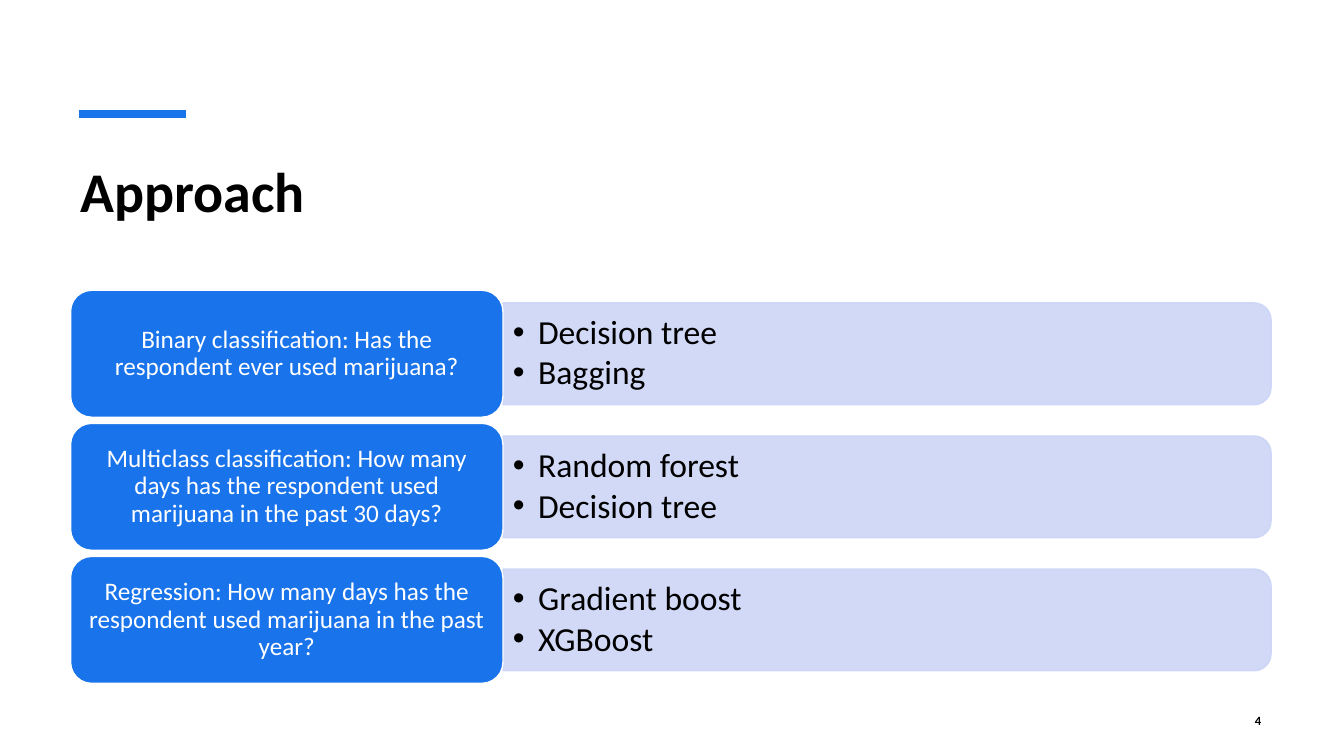
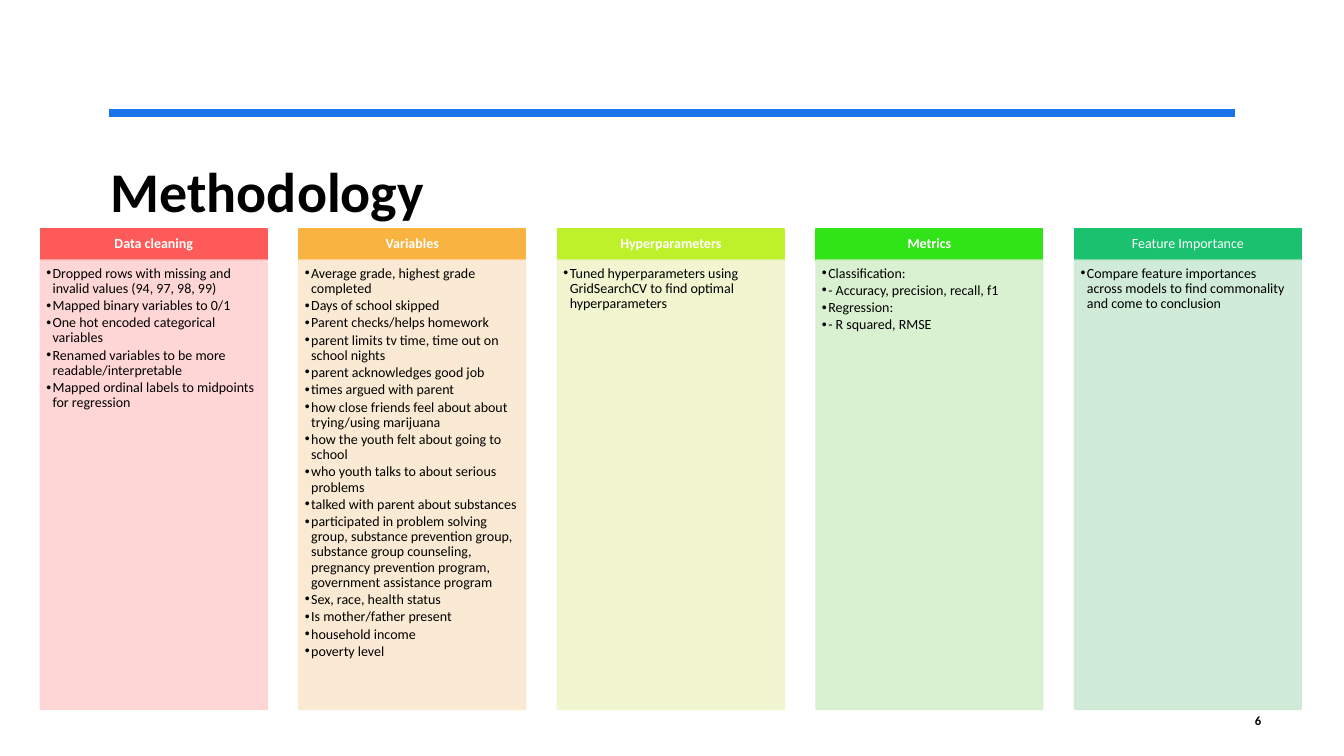
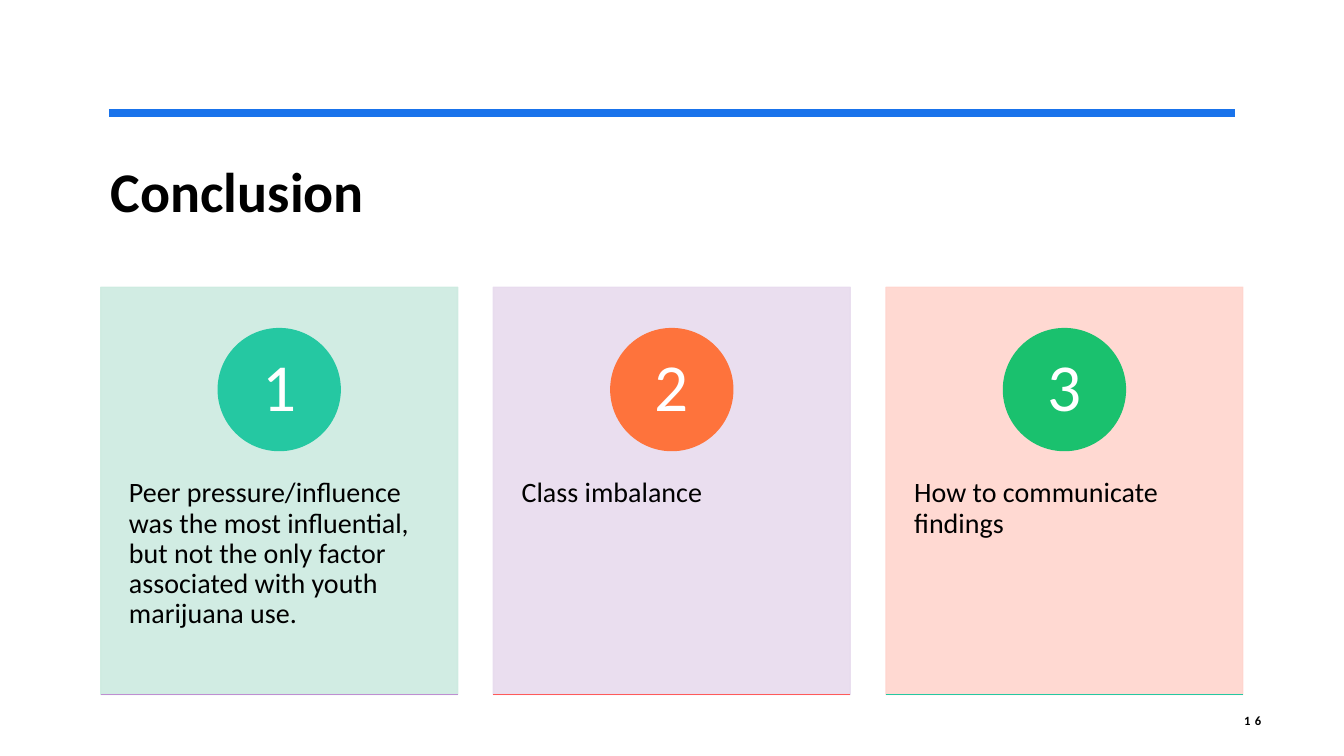
from dataclasses import dataclass

from lxml.etree import SubElement
from pptx import Presentation
from pptx.dml.color import RGBColor
from pptx.enum.shapes import MSO_CONNECTOR, MSO_SHAPE
from pptx.enum.text import MSO_ANCHOR as Anchor, MSO_AUTO_SIZE, PP_ALIGN as Align
from pptx.oxml.ns import qn
from pptx.util import Inches, Pt

FONT = "Calibri"
COLORS = {
    "black": "000000", "white": "FFFFFF",
    "blue": "1973EB", "pale blue": "CCD5F7",
    "red": "FE5A5A", "pale red": "FFD2D2",
    "amber": "F8B340", "pale amber": "FBE8CF",
    "lime": "BEF129", "pale lime": "F0F6CD",
    "green": "30E417", "pale green": "D6F0CC",
    "emerald": "1AC16E", "pale emerald": "CCE9D5",
    "teal": "25C8A2", "pale teal": "CDEBE0",
    "orange": "FE733C", "pale orange": "FFD5CE",
    "purple": "BF8ED1", "pale purple": "E8DBEE",
}


@dataclass(frozen=True)
class Box:
    left: float
    top: float
    width: float
    height: float


@dataclass(frozen=True)
class TextStyle:
    size: float
    color: str = "black"
    bold: bool = False
    align: Align = Align.LEFT
    anchor: Anchor = Anchor.TOP
    insets: tuple[float, float, float, float] = (0.1, 0.05, 0.1, 0.05)
    line_spacing: float = 1.0
    space_after: float = 0
    bullet_points: float = 0
    tracking: float = 0


@dataclass(frozen=True)
class Task:
    question: str
    models: list[str]


@dataclass(frozen=True)
class Column:
    heading: str
    color: str
    items: list[str]
    bold: bool = True


@dataclass(frozen=True)
class Finding:
    text: str
    card: str
    circle: str
    rule: str


TITLE = TextStyle(40, bold=True)
PAGE_NUMBER = TextStyle(9, bold=True, align=Align.RIGHT, anchor=Anchor.MIDDLE, tracking=3)
QUESTION = TextStyle(18, "white", align=Align.CENTER, anchor=Anchor.MIDDLE,
                     insets=(0.07, 0.04, 0.07, 0.04), line_spacing=0.9)
MODELS = TextStyle(24, anchor=Anchor.MIDDLE, line_spacing=0.9, space_after=3,
                   bullet_points=18)
COLUMN_ITEMS = TextStyle(10, insets=(0.06, 0.06, 0.08, 0.09), line_spacing=0.9,
                         space_after=1.5, bullet_points=4.5)
FINDING = TextStyle(20, insets=(0.28, 1.9, 0.28, 0.36), line_spacing=0.9)
NUMBER = TextStyle(48, "white", align=Align.CENTER, anchor=Anchor.MIDDLE,
                   insets=(0.09, 0.01, 0.09, 0.01), line_spacing=0.9)

TASKS = [
    Task("Binary classification: Has the respondent ever used marijuana?",
         ["Decision tree", "Bagging"]),
    Task("Multiclass classification: How many days has the respondent used "
         "marijuana in the past 30 days?", ["Random forest", "Decision tree"]),
    Task("Regression: How many days has the respondent used marijuana in the past year?",
         ["Gradient boost", "XGBoost"]),
]
COLUMNS = [
    Column("Data cleaning", "red", [
        "Dropped rows with missing and invalid values (94, 97, 98, 99)",
        "Mapped binary variables to 0/1",
        "One hot encoded categorical variables",
        "Renamed variables to be more readable/interpretable",
        "Mapped ordinal labels to midpoints for regression",
    ]),
    Column("Variables", "amber", [
        "Average grade, highest grade completed",
        "Days of school skipped",
        "Parent checks/helps homework",
        "parent limits tv time, time out on school nights",
        "parent acknowledges good job",
        "times argued with parent",
        "how close friends feel about about trying/using marijuana",
        "how the youth felt about going to school",
        "who youth talks to about serious problems",
        "talked with parent about substances",
        "participated in problem solving group, substance prevention group, substance "
        "group counseling, pregnancy prevention program, government assistance program",
        "Sex, race, health status",
        "Is mother/father present",
        "household income",
        "poverty level",
    ]),
    Column("Hyperparameters", "lime", [
        "Tuned hyperparameters using GridSearchCV to find optimal hyperparameters",
    ]),
    Column("Metrics", "green", [
        "Classification:",
        "- Accuracy, precision, recall, f1",
        "Regression:",
        "- R squared, RMSE",
    ]),
    Column("Feature Importance", "emerald", [
        "Compare feature importances across models to find commonality "
        "and come to conclusion",
    ], bold=False),
]
FINDINGS = [
    Finding("Peer pressure/influence was the most influential, but not the only factor "
            "associated with youth marijuana use.", "pale teal", "teal", "purple"),
    Finding("Class imbalance", "pale purple", "orange", "red"),
    Finding("How to communicate findings", "pale orange", "emerald", "teal"),
]


# Shared drawing functions
def rgb(name: str) -> RGBColor:
    return RGBColor.from_string(COLORS[name])


def inches(box: Box) -> tuple:
    return Inches(box.left), Inches(box.top), Inches(box.width), Inches(box.height)


def spread(left: float, right: float, width: float, count: int) -> list[float]:
    """Left edges of equal columns that fill the span with equal gaps."""
    step = (right - left - width) / (count - 1)
    return [left + step * index for index in range(count)]


def add_bullet(para, indent: float) -> None:
    properties = para._p.get_or_add_pPr()
    properties.set("marL", str(Pt(indent)))
    properties.set("indent", str(-Pt(indent)))
    SubElement(properties, qn("a:buFont")).set("typeface", "Arial")
    SubElement(properties, qn("a:buChar")).set("char", "•")


def write(shape, lines: list[str], style: TextStyle) -> None:
    frame = shape.text_frame
    frame.text = "\n".join(lines)
    frame.word_wrap = True
    frame.auto_size = MSO_AUTO_SIZE.NONE
    frame.vertical_anchor = style.anchor
    (frame.margin_left, frame.margin_top,
     frame.margin_right, frame.margin_bottom) = map(Inches, style.insets)
    for para in frame.paragraphs:
        para.alignment = style.align
        if style.bullet_points:
            add_bullet(para, style.bullet_points)
        para.line_spacing = style.line_spacing
        para.space_before = Pt(0)
        para.space_after = Pt(style.space_after)
        for span in para.runs:
            span.font.name = FONT
            span.font.size = Pt(style.size)
            span.font.bold = style.bold
            span.font.color.rgb = rgb(style.color)
            if style.tracking:
                span.font._element.set("spc", str(round(style.tracking * 100)))


def add_text(page, box: Box, lines: list[str], style: TextStyle) -> None:
    write(page.shapes.add_textbox(*inches(box)), lines, style)


def add_panel(page, kind: MSO_SHAPE, box: Box, color: str, outline: str = "",
              opacity: int = 100):
    panel = page.shapes.add_shape(kind, *inches(box))
    panel.shadow.inherit = False
    panel.fill.solid()
    panel.fill.fore_color.rgb = rgb(color)
    panel.line.color.rgb = rgb(outline or color)
    panel.line.width = Pt(1)
    if opacity < 100:
        for tint in panel.element.iter(qn("a:srgbClr")):
            SubElement(tint, qn("a:alpha")).set("val", str(opacity * 1000))
    return panel


def add_rule(page, left: float, right: float, top: float, color: str, width: float) -> None:
    rule = page.shapes.add_connector(MSO_CONNECTOR.STRAIGHT, Inches(left), Inches(top),
                                     Inches(right), Inches(top))
    rule.line.color.rgb = rgb(color)
    rule.line.width = Pt(width)
    SubElement(rule.element.spPr, qn("a:effectLst"))


def add_page(deck, title: str, number: int, title_box: Box, rule_right: float,
             rule_top: float = 1.12):
    page = deck.slides.add_slide(deck.slide_layouts.get_by_name("Title Only"))
    heading = page.shapes.title
    heading.left, heading.top, heading.width, heading.height = inches(title_box)
    write(heading, [title], TITLE)
    add_rule(page, title_box.left + 0.08, rule_right, rule_top, "blue", 6)
    add_text(page, Box(11.82, 6.95, 0.79, 0.4), [str(number)], PAGE_NUMBER)
    return page


# Slides
def add_approach(deck) -> None:
    page = add_page(deck, "Approach", 4, Box(0.7, 1.5, 11.91, 1.2), 1.85, 1.13)
    bar_left, bar_length, bar_height, list_height = 4.99, 7.62, 1.01, 0.91
    for row, task in enumerate(TASKS):
        top = 2.88 + 1.32 * row
        middle = top + 0.63
        # The bar stands upright and is turned so its round corners face right
        upright = Box(bar_left + (bar_length - bar_height) / 2, middle - bar_length / 2,
                      bar_height, bar_length)
        bar = add_panel(page, MSO_SHAPE.ROUND_2_SAME_RECTANGLE, upright, "pale blue",
                        opacity=90)
        bar.rotation = 90
        add_text(page, Box(bar_left, middle - list_height / 2, 7.57, list_height),
                 task.models, MODELS)
        card = add_panel(page, MSO_SHAPE.ROUNDED_RECTANGLE, Box(0.7, top, 4.29, 1.26),
                         "blue", outline="white")
        write(card, [task.question], QUESTION)


def add_methodology(deck) -> None:
    page = add_page(deck, "Methodology", 6, Box(1, 1.5, 11.33, 1.25), 12.25)
    width = 2.25
    for left, column in zip(spread(0.4, 12.91, width, len(COLUMNS)), COLUMNS):
        header = add_panel(page, MSO_SHAPE.RECTANGLE, Box(left, 2.27, width, 0.31),
                           column.color)
        write(header, [column.heading],
              TextStyle(10, "white", column.bold, Align.CENTER, Anchor.MIDDLE,
                        (0.08, 0.04, 0.08, 0.04), 0.9))
        body = add_panel(page, MSO_SHAPE.RECTANGLE, Box(left, 2.58, width, 4.46),
                         f"pale {column.color}", opacity=90)
        write(body, column.items, COLUMN_ITEMS)


def add_conclusion(deck) -> None:
    page = add_page(deck, "Conclusion", 16, Box(1, 1.5, 11.33, 1.25), 12.25)
    width, top, height, circle_size = 3.54, 2.85, 4.04, 1.21
    lefts = spread(1, 12.33, width, len(FINDINGS))
    for number, (left, finding) in enumerate(zip(lefts, FINDINGS), start=1):
        card = add_panel(page, MSO_SHAPE.RECTANGLE, Box(left, top, width, height),
                         finding.card, opacity=90)
        write(card, [finding.text], FINDING)
        circle_left = left + (width - circle_size) / 2
        circle = add_panel(page, MSO_SHAPE.OVAL,
                           Box(circle_left, 3.26, circle_size, circle_size), finding.circle)
        write(circle, [str(number)], NUMBER)
        add_rule(page, left, left + width, top + height, finding.rule, 1)


def main() -> None:
    deck = Presentation()
    deck.slide_width, deck.slide_height = Inches(40 / 3), Inches(7.5)
    add_approach(deck)
    add_methodology(deck)
    add_conclusion(deck)
    deck.save("out.pptx")


if __name__ == "__main__":
    main()
